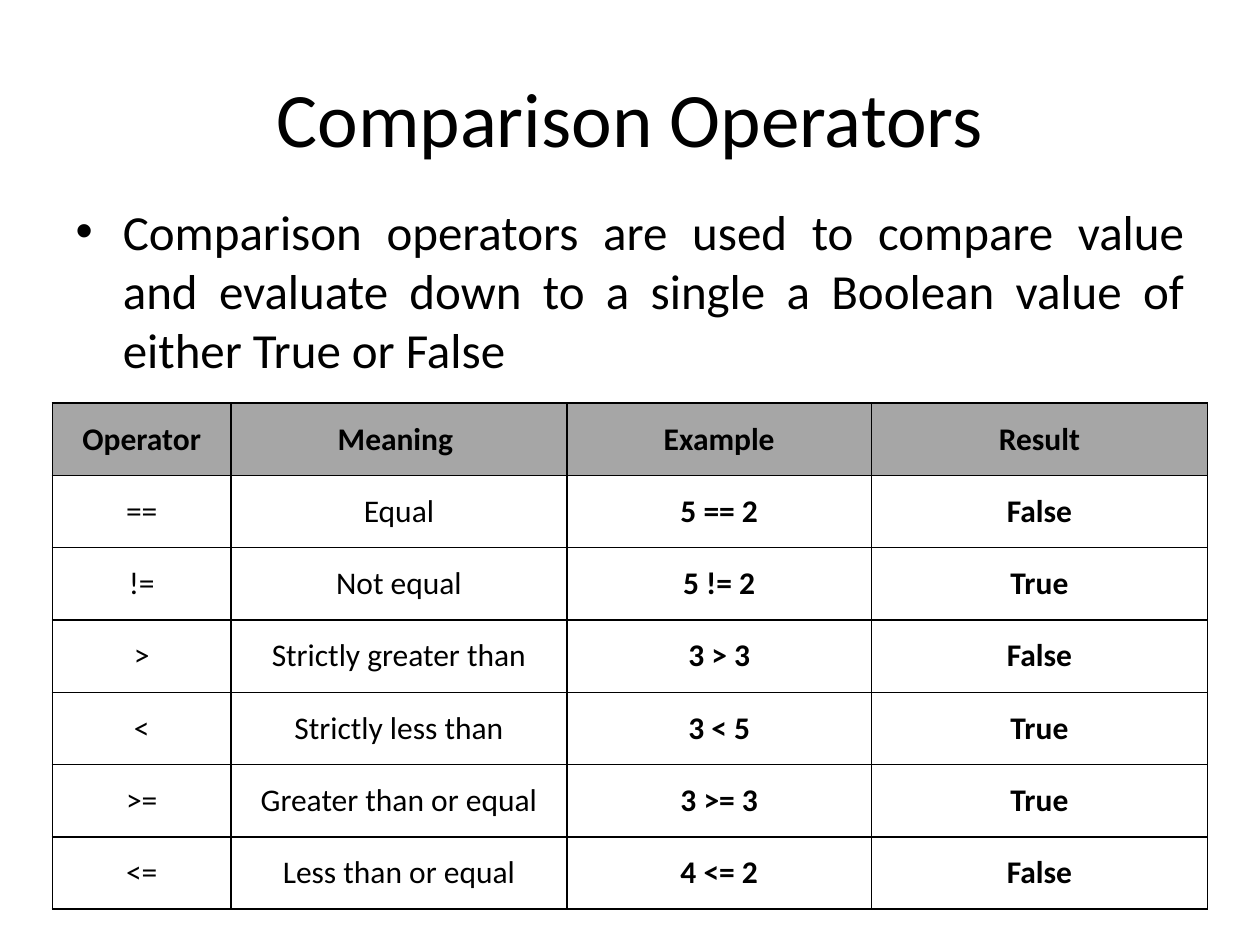
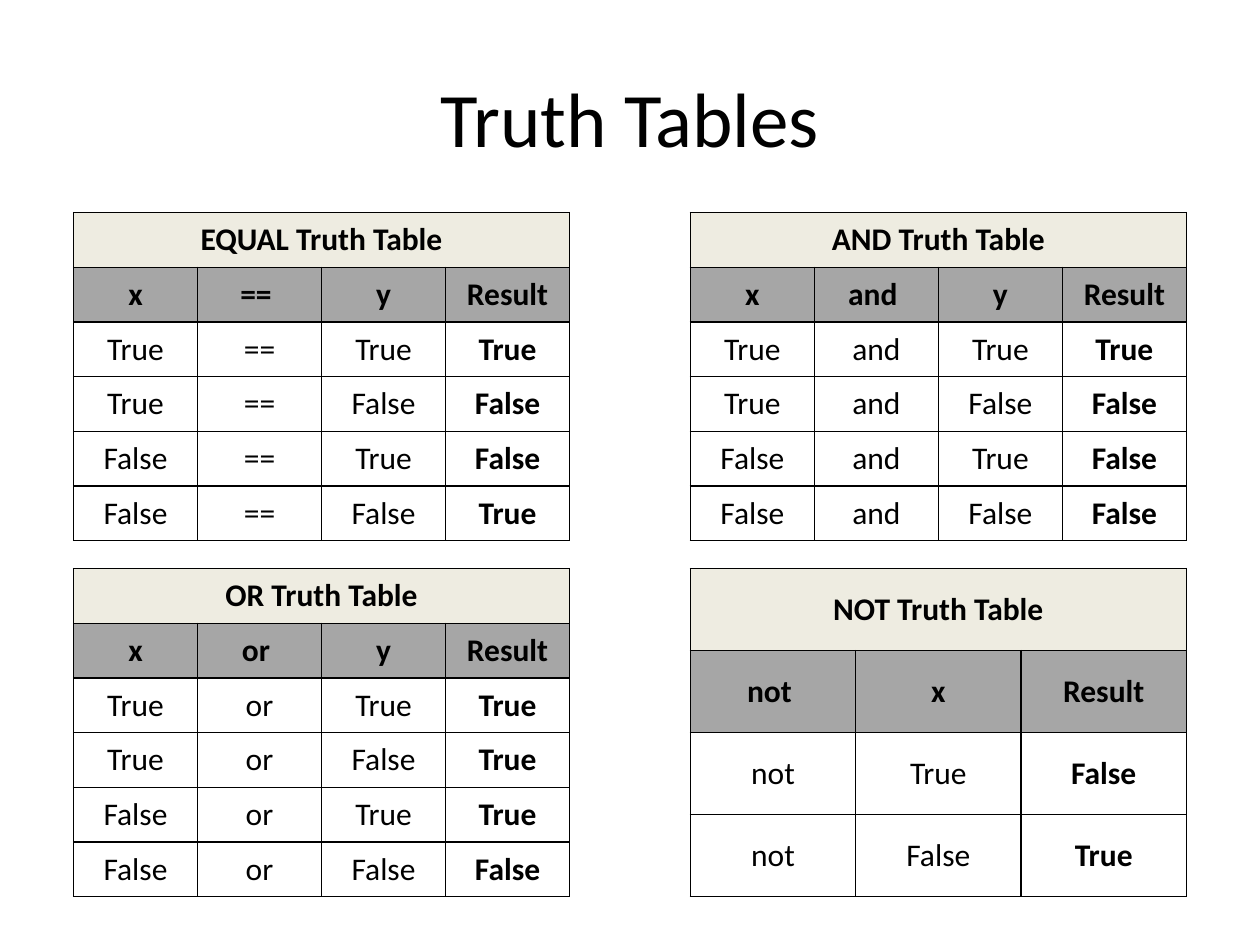
"""Build two slides on comparison operators and truth tables."""
import itertools

import lxml.etree
import pptx
import pptx.dml.color
import pptx.enum.text
import pptx.oxml.ns
import pptx.util

BLACK = pptx.dml.color.RGBColor(0x00, 0x00, 0x00)
WHITE = pptx.dml.color.RGBColor(0xFF, 0xFF, 0xFF)
GREY = pptx.dml.color.RGBColor(0xA6, 0xA6, 0xA6)
CREAM = pptx.dml.color.RGBColor(0xEE, 0xEC, 0xE1)
ALIGN = pptx.enum.text.PP_ALIGN
MIDDLE = pptx.enum.text.MSO_ANCHOR.MIDDLE
TITLE_AND_BODY, TITLE_ONLY = 1, 5


class Deck:
    """Slides on a grid of 120 columns and 90 rows in one shared style."""

    def __init__(self):
        self.prs = pptx.Presentation()
        self.prs.slide_width = pptx.util.Inches(10)
        self.prs.slide_height = pptx.util.Inches(7.5)
        self.col = self.prs.slide_width / 120
        self.row = self.prs.slide_height / 90
        self.s = None

    def box(self, x, y, w, h):
        return {
            "left": round(x * self.col),
            "top": round(y * self.row),
            "width": round(w * self.col),
            "height": round(h * self.row),
        }

    def set_text(self, tf, text, size, align, bold=False):
        tf.text = text
        p = tf.paragraphs[0]
        p.alignment = align
        font = p.runs[0].font
        style = {"name": "Calibri", "size": pptx.util.Pt(size), "bold": bold}
        for name, value in style.items():
            setattr(font, name, value)
        font.color.rgb = BLACK

    def place(self, sp, box, text, size, align):
        for name, value in self.box(*box).items():
            setattr(sp, name, value)
        self.set_text(sp.text_frame, text, size, align)

    def slide(self, layout, title):
        self.s = self.prs.slides.add_slide(self.prs.slide_layouts[layout])
        self.place(self.s.shapes.title, (6, 3.6, 108, 15), title, 44, ALIGN.CENTER)
        self.s.shapes.title.text_frame.vertical_anchor = MIDDLE

    def body(self, text):
        sp = self.s.placeholders[1]
        self.place(sp, (6, 18.6, 108, 56), text, 28, ALIGN.JUSTIFY)
        sp.text_frame.auto_size = pptx.enum.text.MSO_AUTO_SIZE.NONE

    def border(self, cell):
        tc_pr = cell._tc.get_or_add_tcPr()
        for i, side in enumerate(("lnL", "lnR", "lnT", "lnB")):
            ln = lxml.etree.Element(pptx.oxml.ns.qn("a:" + side), w="12700")
            fill = lxml.etree.SubElement(ln, pptx.oxml.ns.qn("a:solidFill"))
            lxml.etree.SubElement(fill, pptx.oxml.ns.qn("a:srgbClr"), val=str(BLACK))
            tc_pr.insert(i, ln)

    def table(self, x, y, h, widths, rows, bold_cols, caption=None):
        """Draw a bordered table, with an optional caption row across it."""
        if caption:
            rows = [[caption] + [""] * (len(widths) - 1)] + rows
        head = 1 if caption else 0
        tbl = self.s.shapes.add_table(
            len(rows), len(widths), **self.box(x, y, sum(widths), h)
        ).table
        tbl.first_row = tbl.horz_banding = False
        for column, width in zip(tbl.columns, widths):
            column.width = round(width * self.col)
        for i, values in enumerate(rows):
            tbl.rows[i].height = round(h * self.row / len(rows))
            for j, text in enumerate(values):
                cell = tbl.cell(i, j)
                cell.vertical_anchor = MIDDLE
                cell.fill.solid()
                cell.fill.fore_color.rgb = (
                    CREAM if i < head else GREY if i == head else WHITE
                )
                self.border(cell)
                if text:
                    bold = i <= head or j >= len(widths) - bold_cols
                    self.set_text(cell.text_frame, text, 18, ALIGN.CENTER, bold)
        if caption:
            tbl.cell(0, 0).merge(tbl.cell(0, len(widths) - 1))

    def truth_table(self, x, y, name, header, rows):
        widths = [47.25 / len(header)] * len(header)
        self.table(x, y, 31.25, widths, [header] + rows, 1, name + " Truth Table")


deck = Deck()

deck.slide(TITLE_AND_BODY, "Comparison Operators")
deck.body(
    "Comparison operators are used to compare value and evaluate down "
    "to a single a Boolean value of either True or False"
)
deck.table(5, 38.4, 48.2, [17, 32, 29, 32], [
    ["Operator", "Meaning ", "Example", "Result"],
    ["==", "Equal", "5 == 2", "False"],
    ["!=", "Not equal", "5 != 2", "True"],
    [">", "Strictly greater than", "3 > 3", "False"],
    ["<", "Strictly less than", "3 < 5", "True"],
    [">=", "Greater than or equal", "3 >= 3", "True"],
    ["<=", "Less than or equal", "4 <= 2", "False"],
], 2)

deck.slide(TITLE_ONLY, "Truth Tables")
LEFT, RIGHT, UPPER, LOWER = 7, 65.75, 20.25, 54.15
BOOLEANS = (True, False)
BINARY = [
    (LEFT, UPPER, "EQUAL", "==", lambda a, b: a == b),
    (RIGHT, UPPER, "AND", "and", lambda a, b: a and b),
    (LEFT, LOWER, "OR", "or", lambda a, b: a or b),
]
for x, y, name, sign, result in BINARY:
    deck.truth_table(x, y, name, ["x", sign + " ", "y", "Result"], [
        [str(a), sign, str(b), str(result(a, b))]
        for a, b in itertools.product(BOOLEANS, repeat=2)
    ])
deck.truth_table(RIGHT, LOWER, "NOT", ["not ", "x", "Result"], [
    ["not", str(a), str(not a)] for a in BOOLEANS
])

deck.prs.save("out.pptx")
